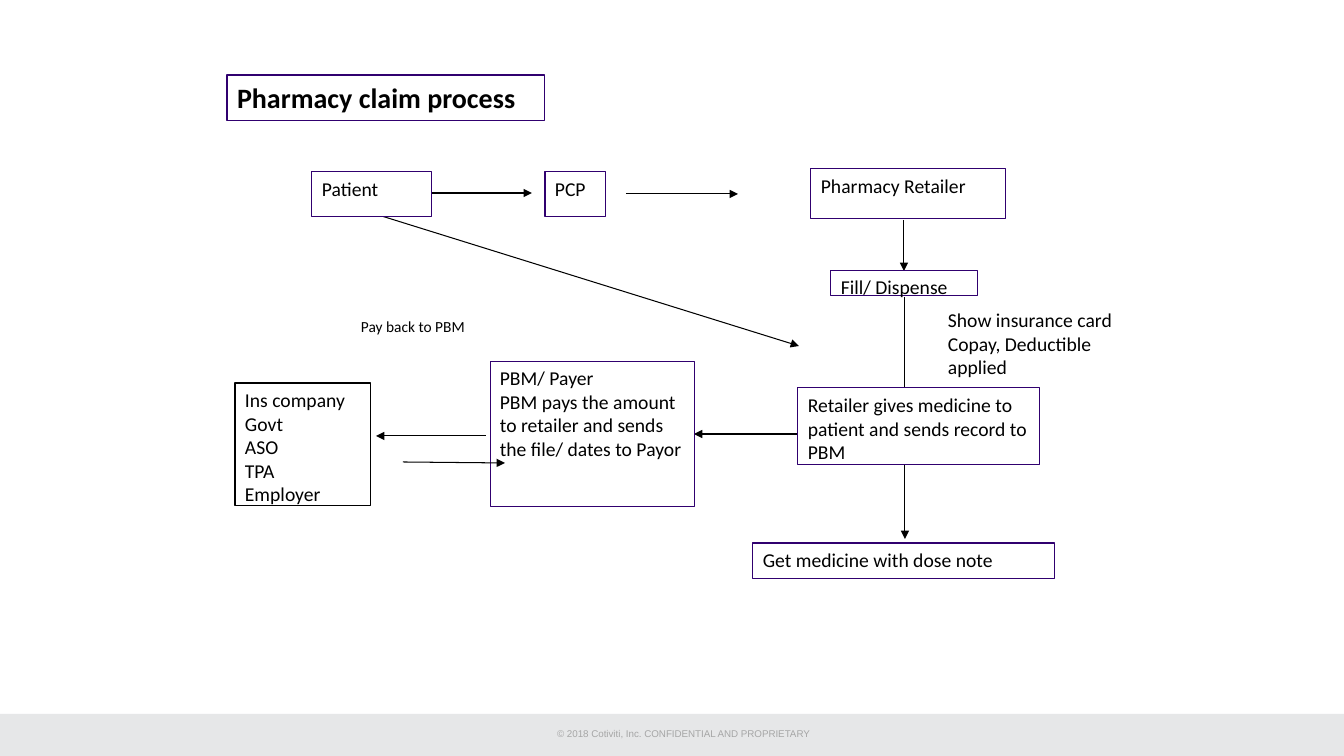
"""Build a slide that charts the pharmacy claim process."""
from lxml import etree
from pptx import Presentation
from pptx import util as u
from pptx.dml.color import RGBColor
from pptx.enum import shapes, text
from pptx.oxml import ns

PX = u.Inches(1) / 100.8
WHITE = RGBColor(0xFF, 0xFF, 0xFF)
BLACK = RGBColor(0, 0, 0)
PURPLE = RGBColor(0x30, 0x00, 0x6F)
BAND_GREY = RGBColor(0xE6, 0xE7, 0xE8)
NOTE_GREY = RGBColor(0xA6, 0xA6, 0xA6)

FLOW_ARROWS = [
    (626, 194, 738, 194),
    (432, 193, 532, 193),
    (904, 220, 904, 271),
    (372, 213, 799, 346),
    (905, 297, 905, 539),
    (797, 434, 694, 434),
    (486, 436, 376, 436),
]
PAY_BACK_ARROW = (403, 462, 505, 463)

STEPS = [
    ("PCP", (545, 172, 61, 45), {}),
    ("Pharmacy Retailer", (811, 169, 195, 50), {}),
    ("Patient", (312, 172, 120, 45), {}),
    ("Fill/ Dispense", (831, 270, 147, 26), {}),
    ("Show insurance card\nCopay, Deductible applied", (938, 303, 213, 85), {"line": None}),
    ("Ins company\nGovt\nASO\nTPA\nEmployer", (235, 383, 136, 123), {"line": BLACK}),
    ("Pay back to PBM", (351, 312, 167, 32), {"line": None, "size": 11}),
    ("Retailer gives medicine to patient and sends record to PBM", (798, 388, 242, 77), {}),
    ("Get medicine with dose note", (753, 543, 302, 36), {}),
    ("PBM/ Payer\nPBM pays the amount to retailer and sends the file/ dates to Payor",
     (490, 361, 204, 145), {"width": 0.25}),
]


def emu(*lengths):
    """Turn pixel lengths into EMU."""
    return [round(length * PX) for length in lengths]


def write(box, wording, size=14, font="Calibri", color=BLACK, bold=False,
          align=text.PP_ALIGN.LEFT):
    """Fill a box with formatted text, one paragraph a line."""
    frame = box.text_frame
    frame.text = wording
    frame.word_wrap = True
    frame.auto_size = text.MSO_AUTO_SIZE.NONE
    frame.vertical_anchor = text.MSO_ANCHOR.TOP
    for para in frame.paragraphs:
        para.alignment = align
        for span in para.runs:
            span.font.name = font
            span.font.size = u.Pt(size)
            span.font.bold = bold
            span.font.color.rgb = color


def paint(box, fill=WHITE, line=PURPLE, width=0.75):
    """Set the fill and outline of a box."""
    box.fill.solid()
    box.fill.fore_color.rgb = fill
    if line is None:
        box.line.fill.background()
    else:
        box.line.color.rgb = line
        box.line.width = u.Pt(width)


def add_box(page, area, **look):
    """Add a plain rectangle."""
    box = page.shapes.add_shape(shapes.MSO_SHAPE.RECTANGLE, *emu(*area))
    box.shadow.inherit = False
    paint(box, **look)
    return box


def add_step(page, wording, area, size=14, **look):
    """Add a rectangle that holds one step of the process."""
    write(add_box(page, area, **look), wording, size=size)


def add_arrow(page, ends):
    """Add a thin black line with an arrowhead at its end."""
    arrow = page.shapes.add_connector(shapes.MSO_CONNECTOR.STRAIGHT, *emu(*ends))
    arrow.line.color.rgb = BLACK
    arrow.line.width = u.Pt(0.75)
    head = etree.SubElement(arrow.line._get_or_add_ln(), ns.qn("a:tailEnd"))
    head.set("type", "triangle")
    etree.SubElement(arrow._element.spPr, ns.qn("a:effectLst"))


def add_footer(page):
    """Add the grey band and its copyright line."""
    add_box(page, (0, 714, 1344, 42), fill=BAND_GREY, line=None)
    note = page.shapes.add_textbox(*emu(496, 723, 375, 22))
    write(note, "© 2018 Cotiviti, Inc. CONFIDENTIAL AND PROPRIETARY", size=7,
          font="Arial", color=NOTE_GREY, align=text.PP_ALIGN.CENTER)


def set_title(page, wording, area):
    """Place and format the title placeholder."""
    title = page.shapes.title
    title.left, title.top, title.width, title.height = emu(*area)
    paint(title)
    write(title, wording, size=20, bold=True)


def main():
    """Build and save the deck."""
    deck = Presentation()
    deck.slide_width, deck.slide_height = emu(1344, 756)
    page = deck.slides.add_slide(deck.slide_layouts.get_by_name("Title Only"))
    set_title(page, "Pharmacy claim process", (227, 75, 318, 46))
    add_footer(page)
    for ends in FLOW_ARROWS:
        add_arrow(page, ends)
    for wording, area, look in STEPS:
        add_step(page, wording, area, **look)
    add_arrow(page, PAY_BACK_ARROW)
    deck.save("out.pptx")


if __name__ == "__main__":
    main()
